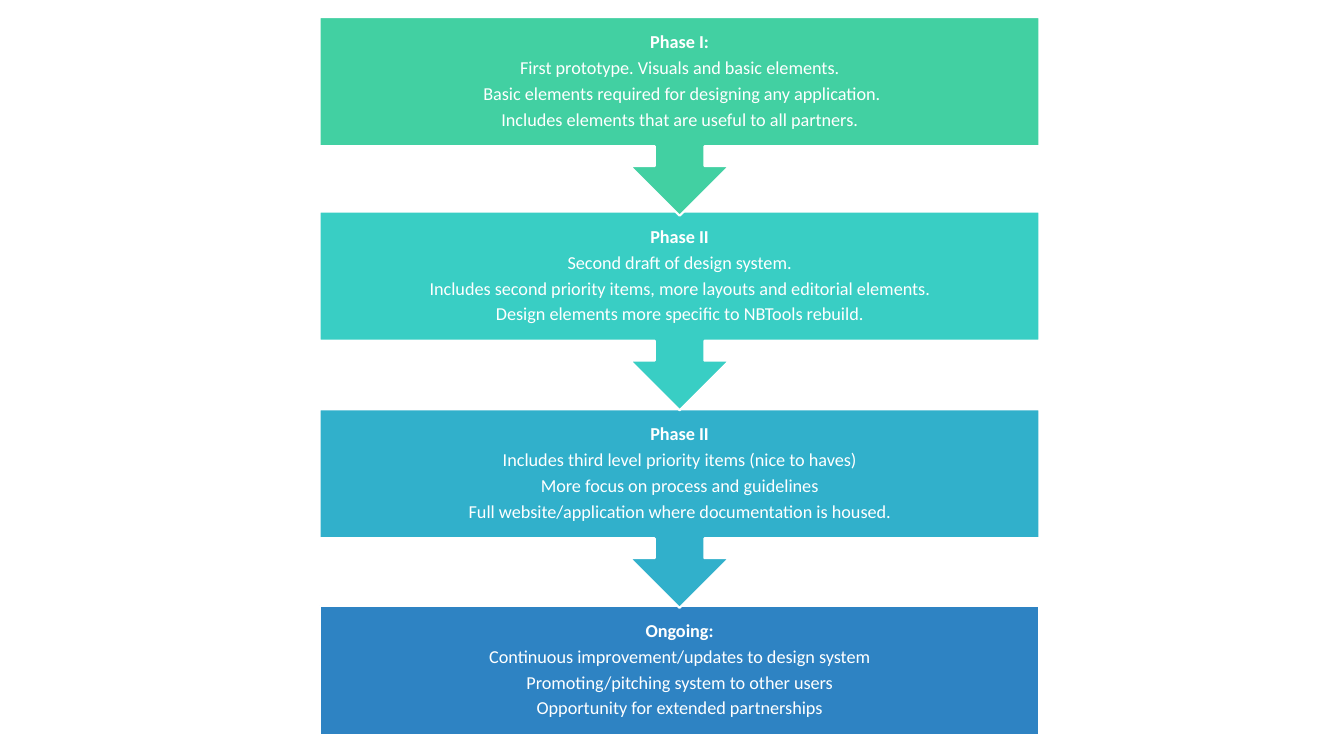
"""Build a slide of four project phases joined by downward arrows."""
from pptx import Presentation
from pptx.dml.color import RGBColor
from pptx.enum.shapes import MSO_SHAPE
from pptx.enum.text import MSO_ANCHOR, PP_ALIGN
from pptx.util import Inches, Pt

RECT = MSO_SHAPE.RECTANGLE
ARROW = MSO_SHAPE.UP_ARROW_CALLOUT
MIDDLE = MSO_ANCHOR.MIDDLE
CENTER = PP_ALIGN.CENTER

WHITE = RGBColor(0xFF, 0xFF, 0xFF)
GREEN = RGBColor(0x42, 0xD0, 0xA2)
TEAL = RGBColor(0x39, 0xCE, 0xC4)
CYAN = RGBColor(0x31, 0xB0, 0xCB)
BLUE = RGBColor(0x2E, 0x83, 0xC3)

PHASES = [
    (0.17, GREEN, [
        "Phase I:",
        "First prototype. Visuals and basic elements.",
        " Basic elements required for designing any application.",
        "Includes elements that are useful to all partners."]),
    (2.1, TEAL, [
        "Phase II",
        "Second draft of design system.",
        "Includes second priority items, more layouts and editorial elements.",
        "Design elements more specific to NBTools rebuild."]),
    (4.06, CYAN, [
        "Phase II",
        "Includes third level priority items (nice to haves)",
        "More focus on process and guidelines",
        "Full website/application where documentation is housed."]),
    (6.01, BLUE, [
        "Ongoing:",
        "Continuous improvement/updates to design system",
        "Promoting/pitching system to other users",
        "Opportunity for extended partnerships"]),
]
LEFT, WIDTH = 3.17, 7.14
BODY, FULL = 1.28, 1.97


def add_block(slide, top, color, last):
    kind, height = (RECT, BODY) if last else (ARROW, FULL)
    block = slide.shapes.add_shape(
        kind, Inches(LEFT), Inches(top), Inches(WIDTH), Inches(height))
    block.rotation = 0 if last else 180
    block.shadow.inherit = False
    block.fill.solid()
    block.fill.fore_color.rgb = color
    block.line.color.rgb = WHITE
    block.line.width = Pt(1.5)


def add_text(slide, top, lines):
    box = slide.shapes.add_textbox(
        Inches(LEFT), Inches(top), Inches(WIDTH), Inches(BODY))
    frame = box.text_frame
    frame.word_wrap = True
    frame.vertical_anchor = MIDDLE
    frame.margin_left = frame.margin_right = Inches(0.1)
    frame.margin_top = frame.margin_bottom = Inches(0.1)
    frame.text = "\n".join(lines)
    for row, para in enumerate(frame.paragraphs):
        para.alignment = CENTER
        para.line_spacing = 0.9
        para.space_after = Pt(4.4)
        font = para.runs[0].font
        font.name = "Calibri"
        font.size = Pt(13)
        font.bold = row == 0
        font.color.rgb = WHITE


def main():
    deck = Presentation()
    deck.slide_width, deck.slide_height = Inches(13.33), Inches(7.5)
    slide = deck.slides.add_slide(deck.slide_layouts[6])
    for phase in reversed(PHASES):
        top, color, lines = phase
        add_block(slide, top, color, phase is PHASES[-1])
        add_text(slide, top, lines)
    deck.save("out.pptx")


if __name__ == "__main__":
    main()
